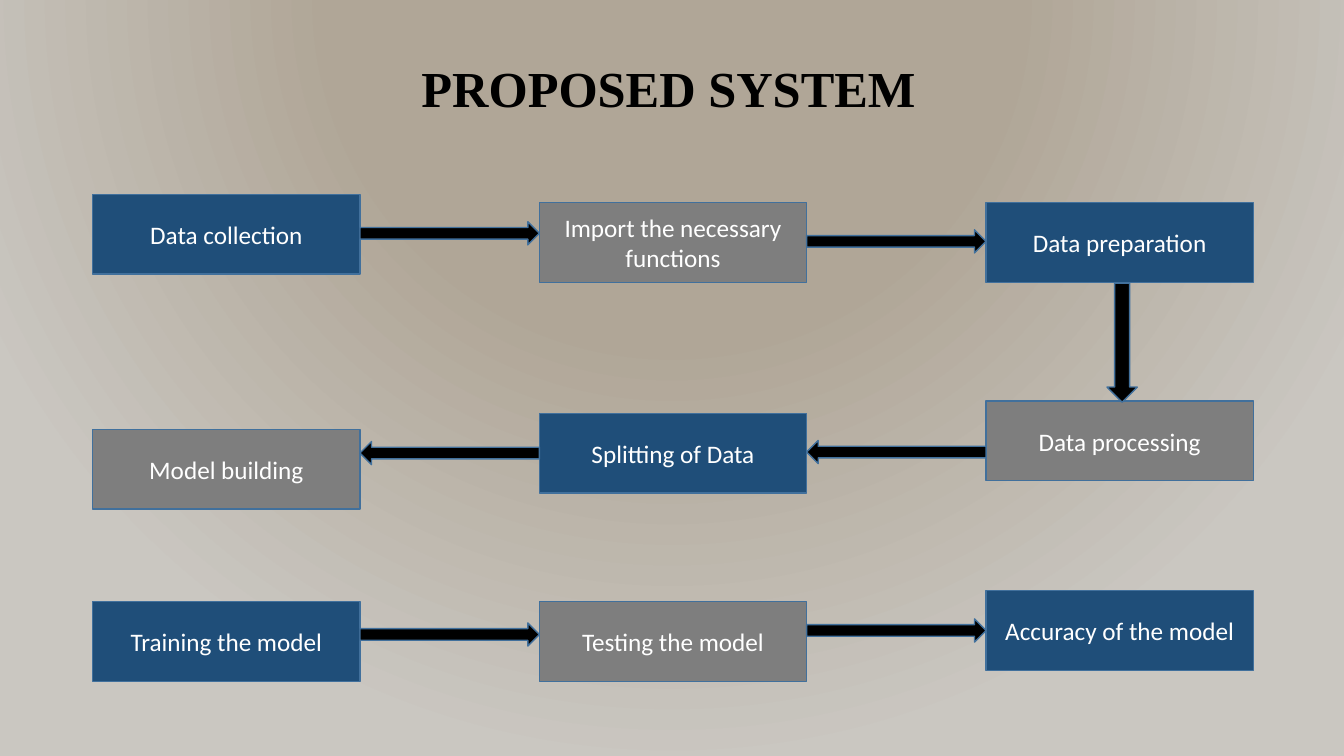
import pptx
import pptx.util
import pptx.dml.color
import pptx.enum.shapes
import pptx.enum.text
import pptx.oxml
import pptx.oxml.ns

Inches = pptx.util.Inches
Kind = pptx.enum.shapes.MSO_SHAPE
Align = pptx.enum.text.PP_ALIGN
Anchor = pptx.enum.text.MSO_ANCHOR

TITLE = "PROPOSED SYSTEM"
STEPS = [
    [("Data collection", 1.93), ("Import the necessary functions", 2.01), ("Data preparation", 2.01)],
    [("Model building", 4.26), ("Splitting of Data", 4.1), ("Data processing", 3.98)],
    [("Training the model", 5.97), ("Testing the model", 5.97), ("Accuracy of the model", 5.86)],
]
FLOWS = [
    (Kind.RIGHT_ARROW, 2.2, 2.28),
    (Kind.LEFT_ARROW, 4.38, 4.37),
    (Kind.RIGHT_ARROW, 6.18, 6.14),
]
COLORS = {
    "blue": "1F4E79", "gray": "7E7E7E", "edge": "41709C", "black": "000000",
    "white": "FFFFFF", "tan": "B0A697", "pale": "CAC7C1",
}
LEFT, PITCH = 0.92, 4.43
BOX_W, BOX_H = 2.65, 0.79
FLOW_H = 0.23


def color(name):
    return pptx.dml.color.RGBColor.from_string(COLORS[name])


def write(shape, text, font="Calibri", size=18, fill="white", bold=False,
          align=Align.CENTER, anchor=Anchor.MIDDLE, inset=0.1, top=0):
    frame = shape.text_frame
    frame.word_wrap = True
    frame.auto_size = pptx.enum.text.MSO_AUTO_SIZE.NONE
    frame.vertical_anchor = anchor
    frame.margin_left = frame.margin_right = Inches(inset)
    frame.margin_top, frame.margin_bottom = Inches(top), 0
    para = frame.paragraphs[0]
    para.alignment = align
    run = para.add_run()
    run.text = text
    run.font.name = font
    run.font.size = pptx.util.Pt(size)
    run.font.bold = bold
    run.font.color.rgb = color(fill)


def place(slide, kind, fill, *rect):
    shape = slide.shapes.add_shape(kind, *map(Inches, rect))
    shape.shadow.inherit = False
    shape.fill.solid()
    shape.fill.fore_color.rgb = color(fill)
    shape.line.color.rgb = color("edge")
    shape.line.width = pptx.util.Pt(1)
    return shape


def paint(slide):
    fill = slide.background.fill
    fill.gradient()
    for stop, (spot, name) in zip(fill.gradient_stops, [(0.44, "tan"), (1, "pale")]):
        stop.position = spot
        stop.color.rgb = color(name)
    grad = slide.element.xpath(".//p:bgPr/a:gradFill")[0]
    lin = grad.find(pptx.oxml.ns.qn("a:lin"))
    glow = pptx.oxml.parse_xml(
        f'<a:path {pptx.oxml.ns.nsdecls("a")} path="circle">'
        '<a:fillToRect l="43000" t="0" r="43000" b="100000"/></a:path>')
    grad.replace(lin, glow)


def main():
    deck = pptx.Presentation()
    deck.slide_width, deck.slide_height = Inches(13.33), Inches(7.5)
    slide = deck.slides.add_slide(deck.slide_layouts[5])
    paint(slide)

    title = slide.shapes.title
    title.left, title.top, title.width, title.height = map(Inches, (4.17, 0.55, 5.25, 0.62))
    write(title, TITLE, font="Times New Roman", size=36, fill="black", bold=True,
          align=Align.LEFT, anchor=Anchor.TOP, inset=0.01, top=0.02)

    for row, steps in enumerate(STEPS):
        for col, (text, top) in enumerate(steps):
            fill = "gray" if (row, col) in [(0, 1), (1, 0), (1, 2), (2, 1)] else "blue"
            box = place(slide, Kind.RECTANGLE, fill, LEFT + col * PITCH, top, BOX_W, BOX_H)
            write(box, text)

    for kind, *tops in FLOWS:
        for col, top in enumerate(tops):
            place(slide, kind, "black", LEFT + BOX_W + col * PITCH, top, PITCH - BOX_W, FLOW_H)
    place(slide, Kind.DOWN_ARROW, "black", 10.98, 2.81, 0.3, 1.18)

    deck.save("out.pptx")


if __name__ == "__main__":
    main()
